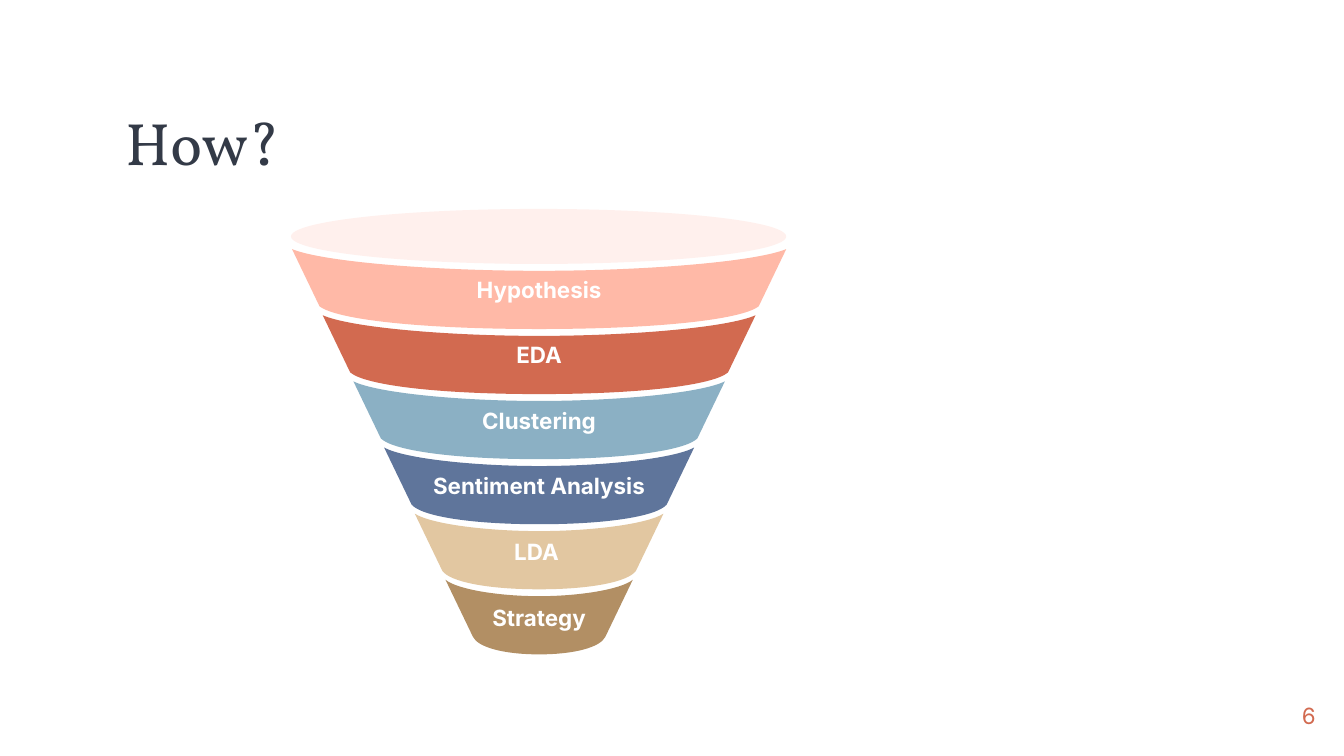
import dataclasses

import pptx
import pptx.dml.color
import pptx.enum.shapes
import pptx.enum.text
import pptx.oxml.ns
import pptx.util

Cm = pptx.util.Cm
ALIGN = pptx.enum.text.PP_ALIGN


@dataclasses.dataclass(frozen=True)
class Theme:
    heading_font: str = "Vollkorn"
    body_font: str = "Inter"
    title_size: int = 32
    body_size: int = 12
    ink: str = "333A47"
    accent: str = "D26A50"
    white: str = "FFFFFF"
    rim: str = "FFF0ED"
    bands: tuple = ("FFB9A7", "D26A50", "8BB0C4", "5F759B", "E2C7A1", "B28F64")


theme = Theme()


def write_text(shape, text, *, font=theme.body_font, size=theme.body_size,
               color=theme.white, bold=False, align=ALIGN.LEFT,
               margins=(0, 0), line_spacing=None):
    """Write one vertically centred paragraph; margins are (sides, top and bottom) in cm."""
    frame = shape.text_frame
    frame.word_wrap = True
    frame.auto_size = pptx.enum.text.MSO_AUTO_SIZE.NONE
    frame.vertical_anchor = pptx.enum.text.MSO_ANCHOR.MIDDLE
    frame.margin_left = frame.margin_right = Cm(margins[0])
    frame.margin_top = frame.margin_bottom = Cm(margins[1])
    paragraph = frame.paragraphs[0]
    paragraph.alignment = align
    paragraph.line_spacing = line_spacing
    run = paragraph.add_run()
    run.text = text
    run.font.name = font
    run.font.size = pptx.util.Pt(size)
    run.font.bold = bold
    run.font.color.rgb = pptx.dml.color.RGBColor.from_string(color)


def sagging_edge(center, top, half_width, sag, inner, outer):
    """Ends and control points, left to right, of two mirrored Bézier curves.

    inner and outer place the control points as fractions of half_width.
    """
    left = [(-half_width, 0), (-half_width * outer, 0.6 * sag),
            (-half_width * inner, sag), (0, sag)]
    right = [(-x, y) for x, y in reversed(left[:-1])]
    return [(Cm(center + x), Cm(top + y)) for x, y in left + right]


presentation = pptx.Presentation()
presentation.slide_width, presentation.slide_height = Cm(25.4), Cm(14.29)
slide = presentation.slides.add_slide(presentation.slide_layouts[5])

title = slide.shapes.title
title.left, title.top, title.width, title.height = Cm(2.37), Cm(2.08), Cm(12.65), Cm(1.35)
write_text(title, "How?", font=theme.heading_font, size=theme.title_size,
           color=theme.ink, line_spacing=0.9)

page_number = slide.shapes.add_textbox(Cm(23.35), Cm(12.98), Cm(1.52), Cm(1.09))
write_text(page_number, "6", color=theme.accent, align=ALIGN.RIGHT)

# Funnel: every band is a step lower and narrower than the one above
center = 10.19
stages = ["Hypothesis", "EDA", "Clustering", "Sentiment Analysis", "LDA ", "Strategy"]
for index, (stage, color) in enumerate(zip(stages, theme.bands)):
    top = 4.71 + 1.25 * index
    narrowing = 0.58 * index
    flattening = 0.02 * index
    upper = sagging_edge(center, top, 4.67 - narrowing, 0.41 - flattening,
                         inner=0.42, outer=0.87)
    lower = sagging_edge(center, top + 1.08, 4.15 - narrowing, 0.43 - flattening,
                         inner=0.53, outer=0.92)
    outline = upper + lower[::-1]
    builder = slide.shapes.build_freeform(*outline[0])
    builder.add_line_segments(outline[1:], close=True)
    band = builder.convert_to_shape()

    # Join each curve's three points; segment 6 is the straight right side
    segments = band.element.xpath(".//a:lnTo")
    for first in (0, 3, 7, 10):
        curve = segments[first]
        curve.tag = pptx.oxml.ns.qn("a:cubicBezTo")
        for segment in segments[first + 1:first + 3]:
            curve.append(segment[0])
            segment.getparent().remove(segment)

    band.shadow.inherit = False
    band.fill.solid()
    band.fill.fore_color.rgb = pptx.dml.color.RGBColor.from_string(color)
    band.line.fill.background()
    write_text(band, stage, bold=True, align=ALIGN.CENTER, margins=(0.18, 0.1))

rim = slide.shapes.add_shape(pptx.enum.shapes.MSO_SHAPE.OVAL,
                             Cm(5.5), Cm(3.95), Cm(9.36), Cm(1.04))
rim.shadow.inherit = False
rim.fill.solid()
rim.fill.fore_color.rgb = pptx.dml.color.RGBColor.from_string(theme.rim)
rim.line.fill.background()

presentation.save("out.pptx")
